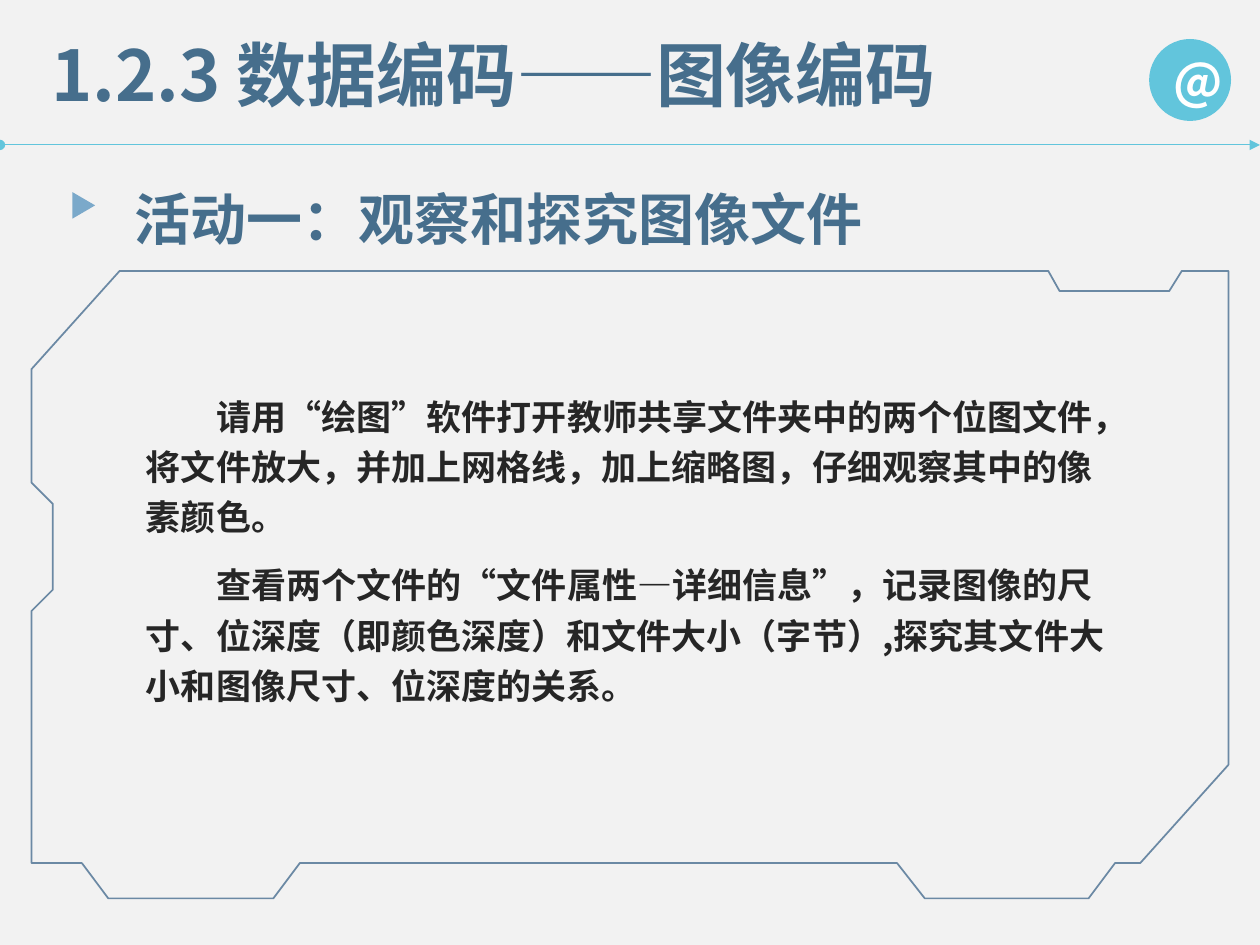
import pptx
import pptx.util
import pptx.dml.color
import pptx.enum.shapes
import pptx.enum.text
import pptx.oxml.ns
import lxml.etree

Inches = pptx.util.Inches
KIND = pptx.enum.shapes.MSO_SHAPE
FONT = "Noto Sans CJK SC"
HUES = {"back": "F2F2F2", "aqua": "62C5DC", "steel": "466E8C",
        "sky": "7BA9CA", "navy": "1F4E79", "ink": "262626", "white": "FFFFFF"}

TITLE = ["1.2.3 数据编码——图像编码"]
HEAD = ["活动一：观察和探究图像文件"]
BODY = [
    "请用“绘图”软件打开教师共享文件夹中的两个位图文件，将文件放大，并加上网格线，"
    "加上缩略图，仔细观察其中的像素颜色。",
    "查看两个文件的“文件属性—详细信息”，记录图像的尺寸、位深度（即颜色深度）和文件大小（字节）"
    ",探究其文件大小和图像尺寸、位深度的关系。",
]
FRAME = [
    (7.34, 7.13), (8.64, 7.13), (8.85, 6.85), (9.05, 6.85), (9.75, 6.07),
    (9.75, 2.15), (9.38, 2.15), (9.28, 2.31), (8.41, 2.31), (8.32, 2.15),
    (0.95, 2.15), (0.25, 2.93), (0.25, 3.83), (0.42, 4), (0.42, 4.68),
    (0.25, 4.85), (0.25, 6.85), (0.65, 6.85), (0.86, 7.13), (2.17, 7.13),
    (2.38, 6.85), (7.12, 6.85),
]


def rgb(hue):
    return pptx.dml.color.RGBColor.from_string(HUES[hue])


def sub(node, tag, **attrs):
    return lxml.etree.SubElement(node, pptx.oxml.ns.qn(tag), attrs)


def write(shape, lines, size, hue, lead=None, after=None, indent=None, align=None):
    frame = shape.text_frame
    frame.word_wrap = True
    frame.text = "\n".join(lines)
    for para in frame.paragraphs:
        if lead:
            para.line_spacing = lead
        if after:
            para.space_after = pptx.util.Pt(after)
        if indent:
            para._p.get_or_add_pPr().set("indent", str(Inches(indent)))
        if align:
            para.alignment = align
        for run in para.runs:
            font = run.font
            font.name, font.size, font.bold = FONT, pptx.util.Pt(size), True
            font.color.rgb = rgb(hue)
            sub(run._r.get_or_add_rPr(), "a:ea", typeface=FONT)


def label(box, lines, size, hue, **look):
    shape = slide.shapes.add_textbox(*map(Inches, box))
    write(shape, lines, size, hue, **look)
    shape.text_frame.auto_size = pptx.enum.text.MSO_AUTO_SIZE.SHAPE_TO_FIT_TEXT


def solid(kind, box, hue):
    shape = slide.shapes.add_shape(kind, *map(Inches, box))
    shape.shadow.inherit = False
    shape.fill.solid()
    shape.fill.fore_color.rgb = rgb(hue)
    shape.line.fill.background()
    return shape


deck = pptx.Presentation()
deck.slide_width, deck.slide_height = Inches(10), Inches(7.5)
slide = deck.slides.add_slide(deck.slide_layouts[6])
slide.background.fill.solid()
slide.background.fill.fore_color.rgb = rgb("back")

rule = slide.shapes.add_connector(
    pptx.enum.shapes.MSO_CONNECTOR.STRAIGHT, 0, Inches(1.15), Inches(10), Inches(1.15))
rule.line.color.rgb = rgb("aqua")
rule.line.width = pptx.util.Pt(0.5)
edge = rule.line._get_or_add_ln()
sub(edge, "a:headEnd", type="oval")
sub(edge, "a:tailEnd", type="triangle")
sub(rule._element.spPr, "a:effectLst")

badge = solid(KIND.OVAL, (9.12, 0.31, 0.65, 0.65), "aqua")
write(badge, ["@"], 28, "white", align=pptx.enum.text.PP_ALIGN.CENTER)
badge.text_frame.vertical_anchor = pptx.enum.text.MSO_ANCHOR.MIDDLE

label((0.97, 1.15, 8.31, 0.78), HEAD, 32, "steel", lead=1.5)
solid(KIND.ISOSCELES_TRIANGLE, (0.56, 1.54, 0.21, 0.18), "sky").rotation = 90

spots = [(Inches(x), Inches(y)) for x, y in FRAME]
trace = slide.shapes.build_freeform(*spots[0])
trace.add_line_segments(spots[1:], close=True)
panel = trace.convert_to_shape()
panel.shadow.inherit = False
panel.fill.background()
panel.line.color.rgb = rgb("navy")
panel.line.width = pptx.util.Pt(1)
tint = panel.line._get_or_add_ln().find(".//" + pptx.oxml.ns.qn("a:srgbClr"))
sub(tint, "a:alpha", val="64000")

label((1.06, 3.02, 7.89, 2.66), BODY, 20, "ink", lead=1.2, after=10, indent=0.56)
label((0.31, 0.2, 8.46, 0.77), TITLE, 40, "steel")

deck.save("out.pptx")
